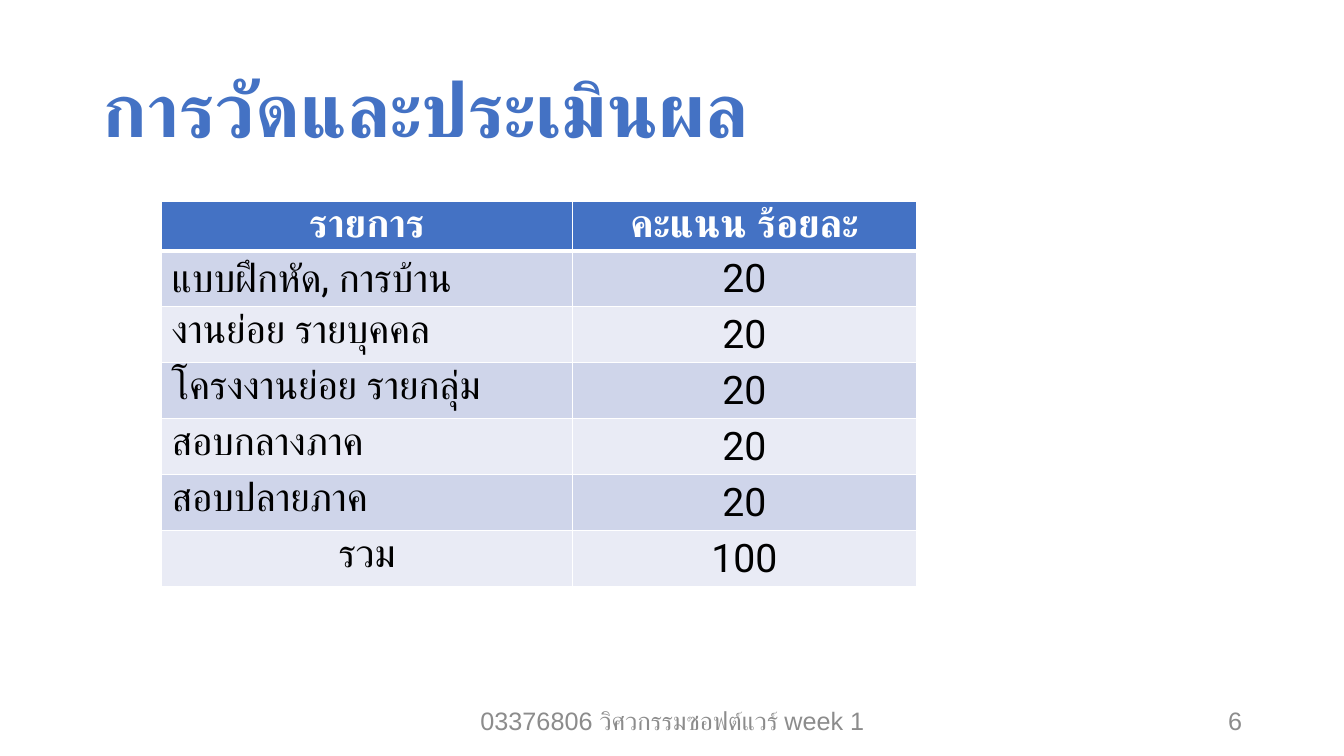
from lxml import etree
from pptx import Presentation
from pptx.dml.color import RGBColor
from pptx.enum.text import MSO_ANCHOR, PP_ALIGN
from pptx.oxml.ns import qn
from pptx.util import Cm, Pt

LEFT, CENTER, RIGHT = PP_ALIGN.LEFT, PP_ALIGN.CENTER, PP_ALIGN.RIGHT
MIDDLE = MSO_ANCHOR.MIDDLE

BLUE = RGBColor(0x44, 0x72, 0xC4)
BAND_DARK = RGBColor(0xCF, 0xD5, 0xEA)
BAND_LIGHT = RGBColor(0xE9, 0xEB, 0xF5)
WHITE = RGBColor(0xFF, 0xFF, 0xFF)
BLACK = RGBColor(0, 0, 0)
GREY = RGBColor(0x8C, 0x8C, 0x8C)

TITLE = "การวัดและประเมินผล"
HEADER = ("รายการ", "คะแนน ร้อยละ")
SCORES = [
    ("แบบฝึกหัด, การบ้าน", 20),
    ("งานย่อย รายบุคคล", 20),
    ("โครงงานย่อย รายกลุ่ม", 20),
    ("สอบกลางภาค", 20),
    ("สอบปลายภาค", 20),
]
TOTAL = ("รวม", sum(score for _, score in SCORES))
# text, left, width, alignment
FOOTERS = [
    ("03376806 วิศวกรรมซอฟต์แวร์ week 1", Cm(11.23), Cm(11.43), CENTER),
    ("6", Cm(23.93), Cm(7.62), RIGHT),
]
COLUMN_WIDTHS = (Cm(10.36), Cm(8.66))
HEADER_HEIGHT, ROW_HEIGHT = Cm(1.19), Cm(1.41)


def write(frame, text, size, font, color, align, bold=False):
    paragraph = frame.paragraphs[0]
    paragraph.alignment = align
    run = paragraph.add_run()
    run.text = text
    run.font.size = Pt(size)
    run.font.name = font
    run.font.bold = bold
    run.font.color.rgb = color
    return paragraph


def set_borders(cell, bottom_width):
    """Draw white cell borders; they must come before the cell's fill."""
    properties = cell._tc.get_or_add_tcPr()
    widths = {"a:lnL": 1, "a:lnR": 1, "a:lnT": 1, "a:lnB": bottom_width}
    for side, width in widths.items():
        line = etree.SubElement(properties, qn(side), w=str(Pt(width)))
        fill = etree.SubElement(line, qn("a:solidFill"))
        etree.SubElement(fill, qn("a:srgbClr"), val=str(WHITE))


def add_score_table(slide):
    rows = [HEADER, *SCORES, TOTAL]
    height = HEADER_HEIGHT + ROW_HEIGHT * (len(rows) - 1)
    table = slide.shapes.add_table(len(rows), len(HEADER), Cm(4.07), Cm(5.08),
                                   sum(COLUMN_WIDTHS), height).table
    for column, width in zip(table.columns, COLUMN_WIDTHS):
        column.width = width
    for r, row in enumerate(rows):
        is_header = r == 0
        table.rows[r].height = HEADER_HEIGHT if is_header else ROW_HEIGHT
        band = BLUE if is_header else BAND_DARK if r % 2 else BAND_LIGHT
        for c, value in enumerate(row):
            cell = table.cell(r, c)
            set_borders(cell, 3 if is_header else 1)
            cell.fill.solid()
            cell.fill.fore_color.rgb = band
            align = LEFT if c == 0 and row in SCORES else CENTER
            write(cell.text_frame, str(value), 28, "Roboto",
                  WHITE if is_header else BLACK, align, is_header)


def add_footer(slide, text, left, width, align):
    frame = slide.shapes.add_textbox(left, Cm(17.65), width, Cm(1.01)).text_frame
    frame.word_wrap = True
    frame.vertical_anchor = MIDDLE
    write(frame, text, 18, "Arial", GREY, align)


def main():
    prs = Presentation()
    prs.slide_width, prs.slide_height = Cm(33.87), Cm(19.05)
    slide = prs.slides.add_slide(prs.slide_layouts[5])

    title = slide.shapes.title
    title.left, title.top, title.width, title.height = Cm(2.33), Cm(1.01), Cm(29.21), Cm(4.68 - 1)
    title.text_frame.vertical_anchor = MIDDLE
    write(title.text_frame, TITLE, 54, "Roboto", BLUE, LEFT, True).line_spacing = 0.9

    add_score_table(slide)
    for footer in FOOTERS:
        add_footer(slide, *footer)
    prs.save("out.pptx")


if __name__ == "__main__":
    main()
